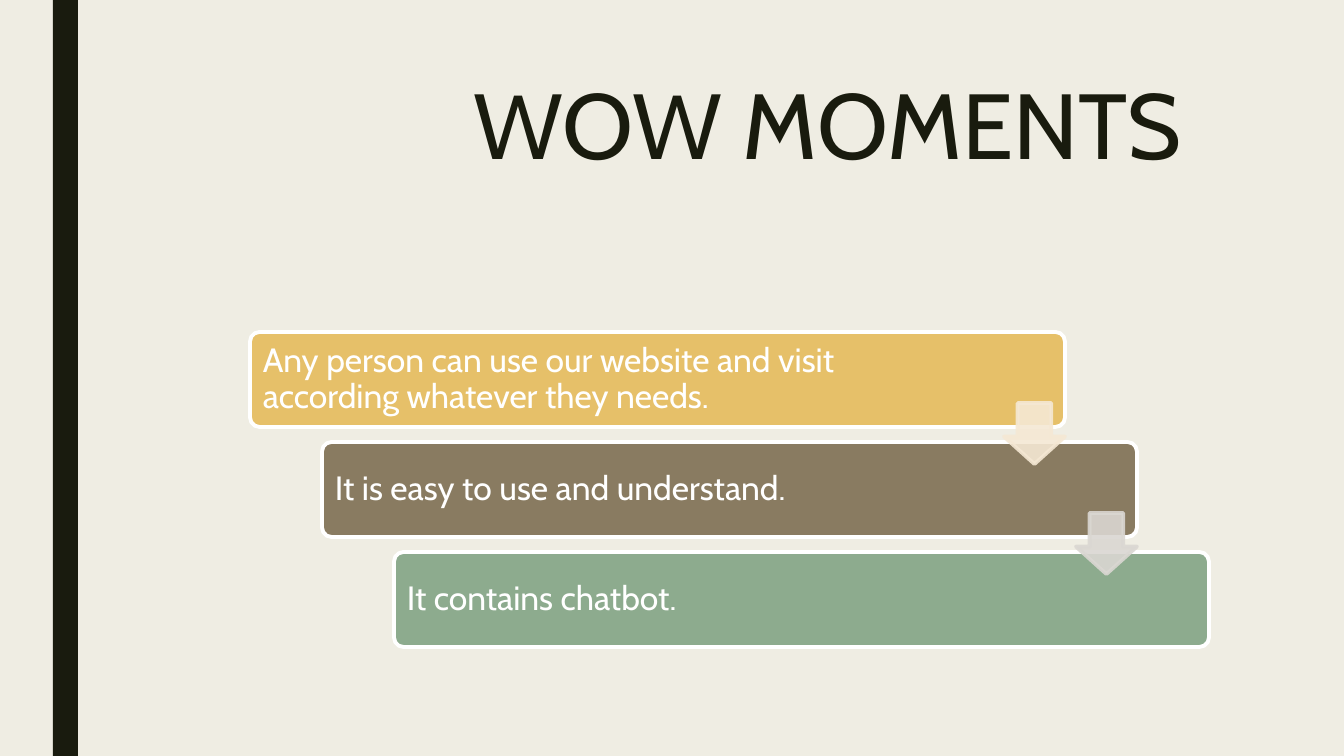
from lxml.etree import SubElement
from pptx import Presentation
from pptx.dml.color import RGBColor
from pptx.enum.shapes import MSO_SHAPE
from pptx.enum.text import MSO_ANCHOR, PP_ALIGN
from pptx.oxml.ns import qn
from pptx.util import Emu, Pt

EMU_PER_PX = 12192000 / 1344
COLORS = {
    "paper": "EFEDE3", "ink": "191B0E", "white": "FFFFFF",
    "gold": "E6C069", "brown": "897B61", "green": "8DAB8E",
    "cream": "F5E8D4", "grey": "DAD7D2",
}


def px(*lengths):
    return [Emu(round(length * EMU_PER_PX)) for length in lengths]


def write(shape, text, size, color, insets, spacing, anchor):
    frame = shape.text_frame
    frame.word_wrap = True
    frame.vertical_anchor = anchor
    (frame.margin_left, frame.margin_top,
     frame.margin_right, frame.margin_bottom) = px(*insets)
    paragraph = frame.paragraphs[0]
    paragraph.alignment = PP_ALIGN.LEFT
    paragraph.line_spacing = spacing
    run = paragraph.add_run()
    run.text = text
    run.font.name = "Cabin"
    run.font.size = Pt(size)
    run.font.color.rgb = RGBColor.from_string(COLORS[color])


presentation = Presentation()
presentation.slide_width, presentation.slide_height = px(1344, 756)
slide = presentation.slides.add_slide(presentation.slide_layouts[6])
slide.background.fill.solid()
slide.background.fill.fore_color.rgb = RGBColor.from_string(COLORS["paper"])

# Side bar
side_bar = slide.shapes.add_shape(MSO_SHAPE.RECTANGLE, *px(53, 0, 25, 756))
side_bar.shadow.inherit = False
side_bar.fill.solid()
side_bar.fill.fore_color.rgb = RGBColor.from_string(COLORS["ink"])
side_bar.line.fill.background()

# Title
title = slide.shapes.add_textbox(*px(473, 76, 737, 163))
write(title, "WOW MOMENTS", size=66, color="ink", insets=(0, 5, 0, 5),
      spacing=0.89, anchor=MSO_ANCHOR.TOP)

# Staircase of moments
STEP_X, STEP_Y = 72, 110
moments = [
    ("Any person can use our website and visit according whatever they needs.", "gold"),
    ("It is easy to use and understand.", "brown"),
    ("It contains chatbot.", "green"),
]
for step, (moment, color) in enumerate(moments):
    card = slide.shapes.add_shape(
        MSO_SHAPE.ROUNDED_RECTANGLE,
        *px(250 + step * STEP_X, 332 + step * STEP_Y, 815, 95))
    card.adjustments[0] = 0.1
    card.shadow.inherit = False
    card.fill.solid()
    card.fill.fore_color.rgb = RGBColor.from_string(COLORS[color])
    card.line.color.rgb = RGBColor.from_string(COLORS["white"])
    card.line.width = Pt(2.75)
    write(card, moment, size=24, color="white", insets=(10, 10, 105, 10),
          spacing=0.9, anchor=MSO_ANCHOR.MIDDLE)

# Translucent arrows from each step to the next
for step, color in enumerate(["cream", "grey"]):
    arrow = slide.shapes.add_shape(
        MSO_SHAPE.DOWN_ARROW,
        *px(1004 + step * STEP_X, 403 + step * STEP_Y, 61, 61))
    arrow.adjustments[0] = 0.55
    arrow.adjustments[1] = 0.45
    arrow.shadow.inherit = False
    arrow.fill.solid()
    arrow.fill.fore_color.rgb = RGBColor.from_string(COLORS[color])
    arrow.line.color.rgb = RGBColor.from_string(COLORS[color])
    arrow.line.width = Pt(2.75)
    for paint in arrow.element.spPr.iter(qn("a:srgbClr")):
        SubElement(paint, qn("a:alpha")).set("val", "90000")

presentation.save("out.pptx")
